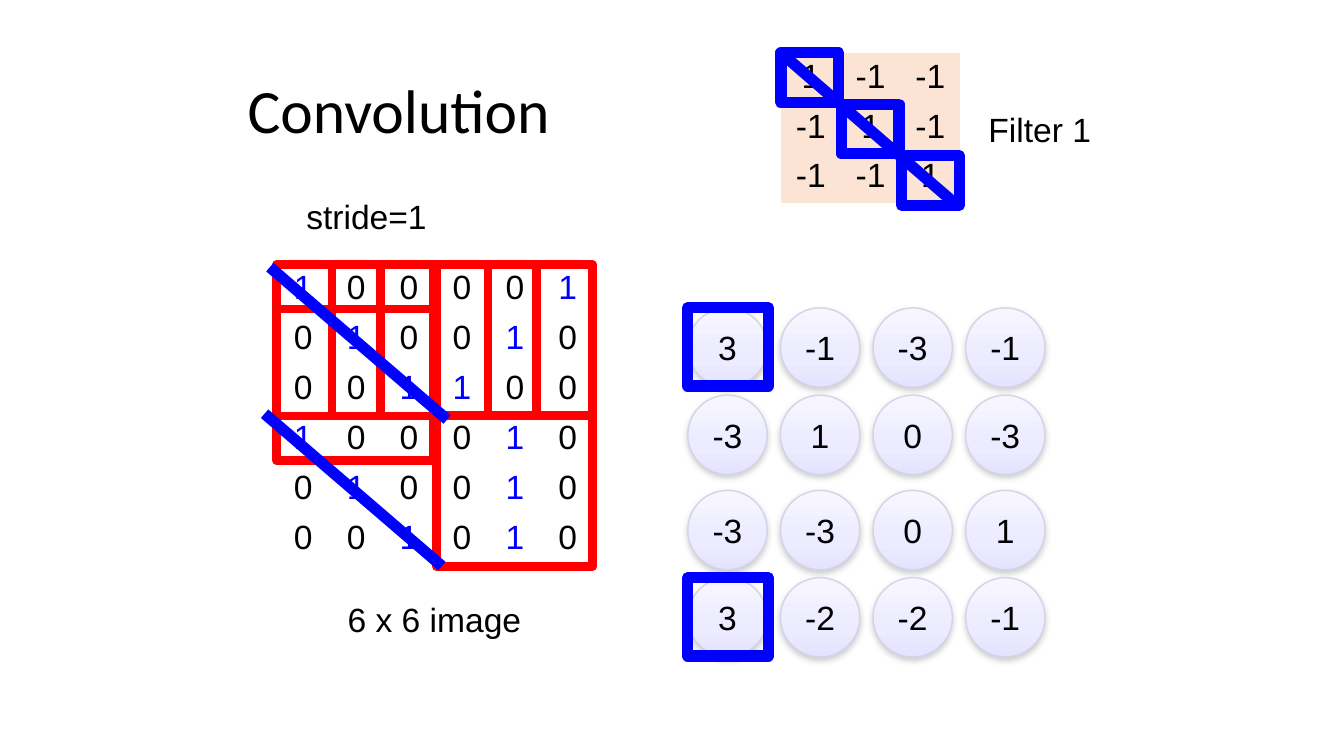
import copy
import dataclasses

import pptx
import pptx.dml.color
import pptx.enum.shapes
import pptx.enum.text
import pptx.oxml.ns
import pptx.util
from lxml import etree

Cm = pptx.util.Cm
Pt = pptx.util.Pt
ALIGN = pptx.enum.text.PP_ALIGN
ANCHOR = pptx.enum.text.MSO_ANCHOR
SHAPE = pptx.enum.shapes.MSO_SHAPE
qn = pptx.oxml.ns.qn


@dataclasses.dataclass(frozen=True)
class Theme:
    ink: str = "000000"
    highlight: str = "0000FF"
    window: str = "FF0000"
    filter_fill: str = "FBE4D4"
    circle_stops: tuple = ((0, "F7F6FF"), (0.65, "ECEBFF"), (1, "E5E3FF"))
    circle_edge: str = "D4D3E7"
    shadow: str = "808080"
    title_font: str = "Calibri"
    body_font: str = "Arial"
    title_size: int = 33
    body_size: int = 18
    window_width: float = 4.5
    highlight_width: float = 6
    edge_width: float = 0.75


THEME = Theme()
NO_TABLE_STYLE = "{2D5ABB26-0587-4C30-8999-92F81FD0307C}"
INSET_X, INSET_Y = 0.18, 0.09
ROW_HEIGHT = 0.76

IMAGE = ["100001", "010010", "001100", "100010", "010010", "001010"]
FILTER = [[1, -1, -1], [-1, 1, -1], [-1, -1, 1]]
FEATURE_MAP = [[3, -1, -3, -1], [-3, 1, 0, -3], [-3, -3, 0, 1], [3, -2, -2, -1]]


def rgb(value):
    return pptx.dml.color.RGBColor.from_string(value)


def write(frame, text, align=ALIGN.CENTER, color=THEME.ink,
          font=THEME.body_font, size=THEME.body_size):
    frame.text = text
    paragraph = frame.paragraphs[0]
    paragraph.alignment = align
    run_font = paragraph.runs[0].font
    run_font.name, run_font.size = font, Pt(size)
    run_font.color.rgb = rgb(color)


def set_insets(holder):
    """Works on a text frame and on a table cell."""
    holder.margin_left = holder.margin_right = Cm(INSET_X)
    holder.margin_top = holder.margin_bottom = Cm(INSET_Y)


def add_title(slide, left, top, width, height):
    title = slide.shapes.title
    title.left, title.top = Cm(left), Cm(top)
    title.width, title.height = Cm(width), Cm(height)
    frame = title.text_frame
    write(frame, "Convolution", ALIGN.LEFT,
          font=THEME.title_font, size=THEME.title_size)
    frame.paragraphs[0].line_spacing = 0.9
    frame.vertical_anchor = ANCHOR.MIDDLE
    set_insets(frame)


def add_label(slide, text, left, top, width, align=ALIGN.CENTER):
    frame = slide.shapes.add_textbox(
        Cm(left), Cm(top), Cm(width), Cm(0.97)).text_frame
    frame.word_wrap = True
    set_insets(frame)
    write(frame, text, align)


def add_matrix(slide, values, left, top, column_width, fill=None, one_color=THEME.ink):
    rows, columns = len(values), len(values[0])
    table = slide.shapes.add_table(
        rows, columns, Cm(left), Cm(top),
        Cm(columns * column_width), Cm(rows * ROW_HEIGHT)).table
    table.first_row = table.horz_banding = False
    table._tbl.tblPr.find(qn("a:tableStyleId")).text = NO_TABLE_STYLE
    for column in table.columns:
        column.width = Cm(column_width)
    for r, row_values in enumerate(values):
        table.rows[r].height = Cm(ROW_HEIGHT)
        for c, value in enumerate(row_values):
            cell = table.cell(r, c)
            set_insets(cell)
            write(cell.text_frame, str(value),
                  color=one_color if str(value) == "1" else THEME.ink)
            if fill:
                cell.fill.solid()
                cell.fill.fore_color.rgb = rgb(fill)
            else:
                cell.fill.background()


def add_frame(slide, left, top, width, height,
              color=THEME.highlight, line_width=THEME.highlight_width):
    frame = slide.shapes.add_shape(
        SHAPE.RECTANGLE, Cm(left), Cm(top), Cm(width), Cm(height))
    frame.shadow.inherit = False
    frame.fill.background()
    frame.line.color.rgb = rgb(color)
    frame.line.width = Pt(line_width)


def add_diagonal(slide, left, top, width, height):
    diagonal = slide.shapes.add_connector(
        pptx.enum.shapes.MSO_CONNECTOR.STRAIGHT,
        Cm(left), Cm(top), Cm(left + width), Cm(top + height))
    diagonal.line.color.rgb = rgb(THEME.highlight)
    diagonal.line.width = Pt(THEME.highlight_width)
    etree.SubElement(diagonal._element.spPr, qn("a:effectLst"))


def add_circle(slide, value, left, top, diameter):
    circle = slide.shapes.add_shape(
        SHAPE.OVAL, Cm(left), Cm(top), Cm(diameter), Cm(diameter))
    circle.fill.gradient()
    circle.fill.gradient_angle = 270
    stop_list = circle._element.spPr.find(".//" + qn("a:gsLst"))
    stop_list.append(copy.deepcopy(stop_list[-1]))
    for stop, (position, color) in zip(circle.fill.gradient_stops, THEME.circle_stops):
        stop.position = position
        stop.color.rgb = rgb(color)
    circle.line.color.rgb = rgb(THEME.circle_edge)
    circle.line.width = Pt(THEME.edge_width)
    circle.shadow.inherit = False
    effects = circle._element.spPr.find(qn("a:effectLst"))
    shadow = etree.SubElement(effects, qn("a:outerShdw"), blurRad=str(Pt(3.1)),
                              dist=str(Pt(1.6)), dir="5400000", rotWithShape="0")
    tint = etree.SubElement(shadow, qn("a:srgbClr"), val=THEME.shadow)
    etree.SubElement(tint, qn("a:alpha"), val="36000")
    frame = circle.text_frame
    set_insets(frame)
    frame.vertical_anchor = ANCHOR.MIDDLE
    write(frame, str(value))


def add_image_region(slide, left, top):
    """The 6 x 6 input with the filter's windows and the two matching diagonals."""
    add_label(slide, "stride=1", left + 0.38, top - 1.39, 2.69, ALIGN.LEFT)
    add_matrix(slide, IMAGE, left, top, 1, one_color=THEME.highlight)
    for dx, dy in [(0, 0), (1.04, 0), (1.96, 0), (3.02, 0), (0, 0.84), (3.02, 2.84)]:
        add_frame(slide, left + dx, top + dy, 2.95, 2.87,
                  THEME.window, THEME.window_width)
    for dx, dy in [(-0.13, 0.05), (-0.23, 2.82)]:
        add_diagonal(slide, left + dx, top + dy, 3.35, 2.88)
    add_label(slide, "6 x 6 image", left + 0.54, top + 6.23, 4.88)


def add_filter_region(slide, left, top):
    add_matrix(slide, FILTER, left, top, 1.13, fill=THEME.filter_fill)
    for step in range(len(FILTER)):
        add_frame(slide, left + step * 1.14, top + step * 0.97, 1.09, 0.94)
    add_diagonal(slide, left, top, 3.35, 2.9)
    add_label(slide, "Filter 1", left + 3.38, top + 0.97, 3.02)


def add_feature_map(slide, left, top):
    """Circles in two pairs of rows, with the strongest responses framed."""
    pitch, row_pitch, pair_pitch = 1.75, 1.65, 3.45
    for r, values in enumerate(FEATURE_MAP):
        pair, row = divmod(r, 2)
        y = top + pair * pair_pitch + row * row_pitch
        for c, value in enumerate(values):
            x = left + c * pitch
            add_circle(slide, value, x, y, 1.5)
            if value == max(map(max, FEATURE_MAP)):
                add_frame(slide, x, y, 1.52, 1.48)


def main():
    deck = pptx.Presentation()
    deck.slide_width, deck.slide_height = Cm(25.4), Cm(14.29)
    slide = deck.slides.add_slide(deck.slide_layouts.get_by_name("Title Only"))
    add_title(slide, 4.5, 0.76, 16.43, 2.77)
    add_image_region(slide, 5.23, 5)
    add_filter_region(slide, 14.76, 1)
    add_feature_map(slide, 13, 5.82)
    deck.save("out.pptx")


if __name__ == "__main__":
    main()
